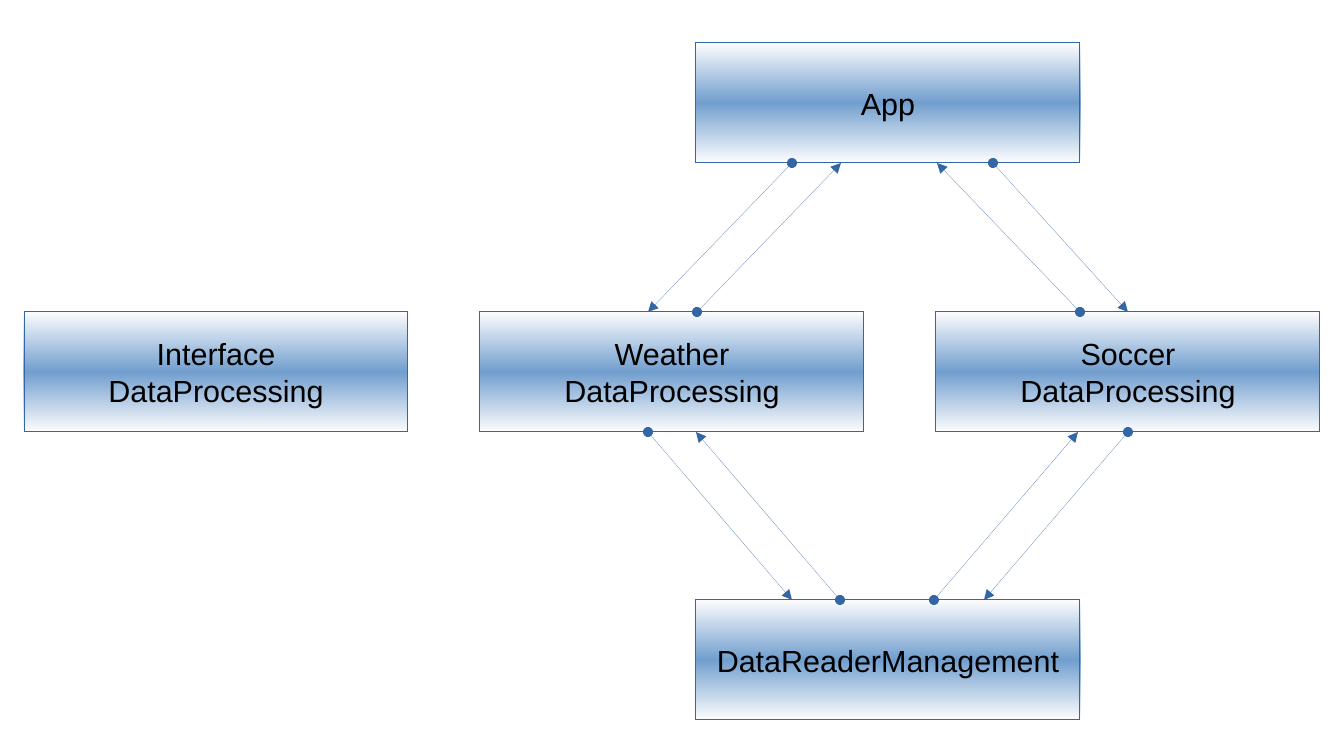
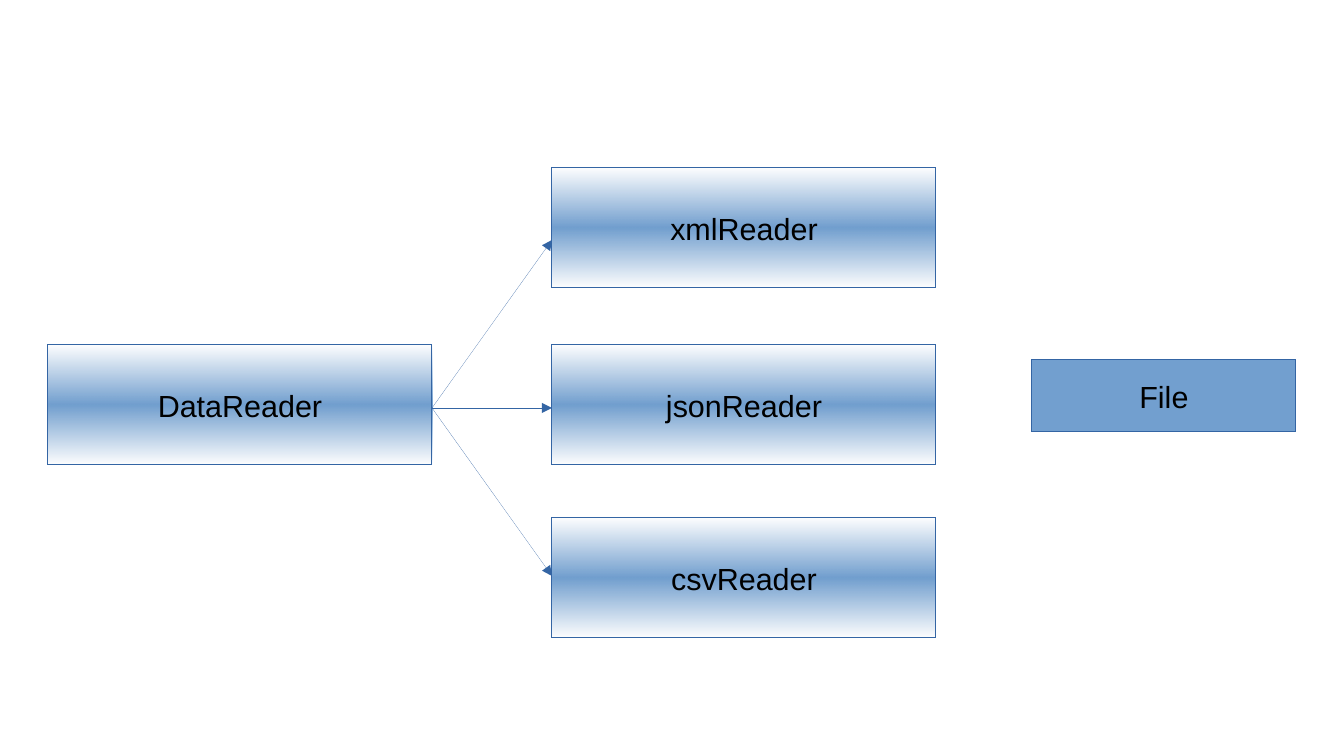
from lxml.etree import SubElement
from pptx import Presentation
from pptx.dml.color import RGBColor
from pptx.enum.shapes import MSO_CONNECTOR, MSO_SHAPE
from pptx.enum.text import MSO_ANCHOR, PP_ALIGN
from pptx.oxml.ns import qn
from pptx.util import Emu, Pt

BOX_WIDTH, BOX_HEIGHT = 384, 120


def px(length):
    """Turn px (122 to the inch) into EMU."""
    return Emu(round(length * 914400 / 122))


def color(hex_code):
    return RGBColor.from_string(hex_code)


class Diagram:
    """Holds the shared style and the slide being drawn."""

    FONT, SIZE = "Arial", Pt(18)
    TEXT, FILL, LINE = "000000", "729FCF", "3465A4"
    # Position and opacity, in thousandths of a percent
    BAND_STOPS = ((0, 0), (50000, 100000), (100000, 0))

    def __init__(self):
        self.deck = Presentation()
        self.deck.slide_width, self.deck.slide_height = px(1344), px(756)
        self.slide = None

    def new_slide(self):
        self.slide = self.deck.slides.add_slide(self.deck.slide_layouts[6])

    def hairline(self, item):
        """Give a shape or connector the thinnest line; return its a:ln."""
        item.line.fill.solid()
        item.line.color.rgb = color(self.LINE)
        outline = item._element.spPr.find(qn("a:ln"))
        outline.set("w", "0")
        return outline

    def fade(self, box):
        """Fill with a band that fades out towards the top and bottom."""
        box.fill.gradient()
        box.fill.gradient_angle = 90
        stops = box._element.spPr.find(qn("a:gradFill")).find(qn("a:gsLst"))
        for stop in list(stops):
            stops.remove(stop)
        for position, opacity in self.BAND_STOPS:
            stop = SubElement(stops, qn("a:gs"), pos=str(position))
            tint = SubElement(stop, qn("a:srgbClr"), val=self.FILL)
            SubElement(tint, qn("a:alpha"), val=str(opacity))

    def box(self, label, left, top, width=BOX_WIDTH, height=BOX_HEIGHT, faded=True):
        box = self.slide.shapes.add_shape(
            MSO_SHAPE.RECTANGLE, px(left), px(top), px(width), px(height))
        box.shadow.inherit = False
        if faded:
            self.fade(box)
        else:
            box.fill.solid()
            box.fill.fore_color.rgb = color(self.FILL)
        self.hairline(box)
        frame = box.text_frame
        frame.word_wrap = False
        frame.vertical_anchor = MSO_ANCHOR.MIDDLE
        frame.text = label
        for paragraph in frame.paragraphs:
            paragraph.alignment = PP_ALIGN.CENTER
            paragraph.font.name = self.FONT
            paragraph.font.size = self.SIZE
            paragraph.font.color.rgb = color(self.TEXT)

    def arrow(self, start, end, dotted_start=False):
        arrow = self.slide.shapes.add_connector(
            MSO_CONNECTOR.STRAIGHT, *map(px, (*start, *end)))
        outline = self.hairline(arrow)
        if dotted_start:
            SubElement(outline, qn("a:headEnd"), type="oval")
        SubElement(outline, qn("a:tailEnd"), type="triangle")
        SubElement(arrow._element.spPr, qn("a:effectLst"))

    def save(self):
        self.deck.save("out.pptx")


def draw_processing(diagram):
    diagram.new_slide()
    app_bottom, processing_top, processing_bottom, manager_top = 163, 312, 432, 600
    diagram.box("App", 696, 43)
    diagram.box("DataReaderManagement", 696, manager_top)
    for column, subject in enumerate(("Interface", "Weather", "Soccer")):
        diagram.box(f"{subject}\nDataProcessing", 24 + 456 * column, processing_top)

    calls = (
        (app_bottom, processing_top, ((792, 648), (993, 1128))),
        (processing_top, app_bottom, ((697, 841), (1080, 937))),
        (processing_bottom, manager_top, ((648, 792), (1128, 984))),
        (manager_top, processing_bottom, ((840, 696), (934, 1078))),
    )
    for start_y, end_y, spans in calls:
        for start_x, end_x in spans:
            diagram.arrow((start_x, start_y), (end_x, end_y), dotted_start=True)


def draw_readers(diagram):
    diagram.new_slide()
    reader_left, hub = 552, (432, 408)
    diagram.box("DataReader", hub[0] - BOX_WIDTH, 345)
    readers = (("xmlReader", 168, 240), ("jsonReader", 345, 408), ("csvReader", 518, 576))
    for name, top, arrow_y in readers:
        diagram.box(name, reader_left, top)
        diagram.arrow(hub, (reader_left, arrow_y))
    diagram.box("File", 1032, 360, 264, 72, faded=False)


def main():
    diagram = Diagram()
    draw_processing(diagram)
    draw_readers(diagram)
    diagram.save()


if __name__ == "__main__":
    main()
